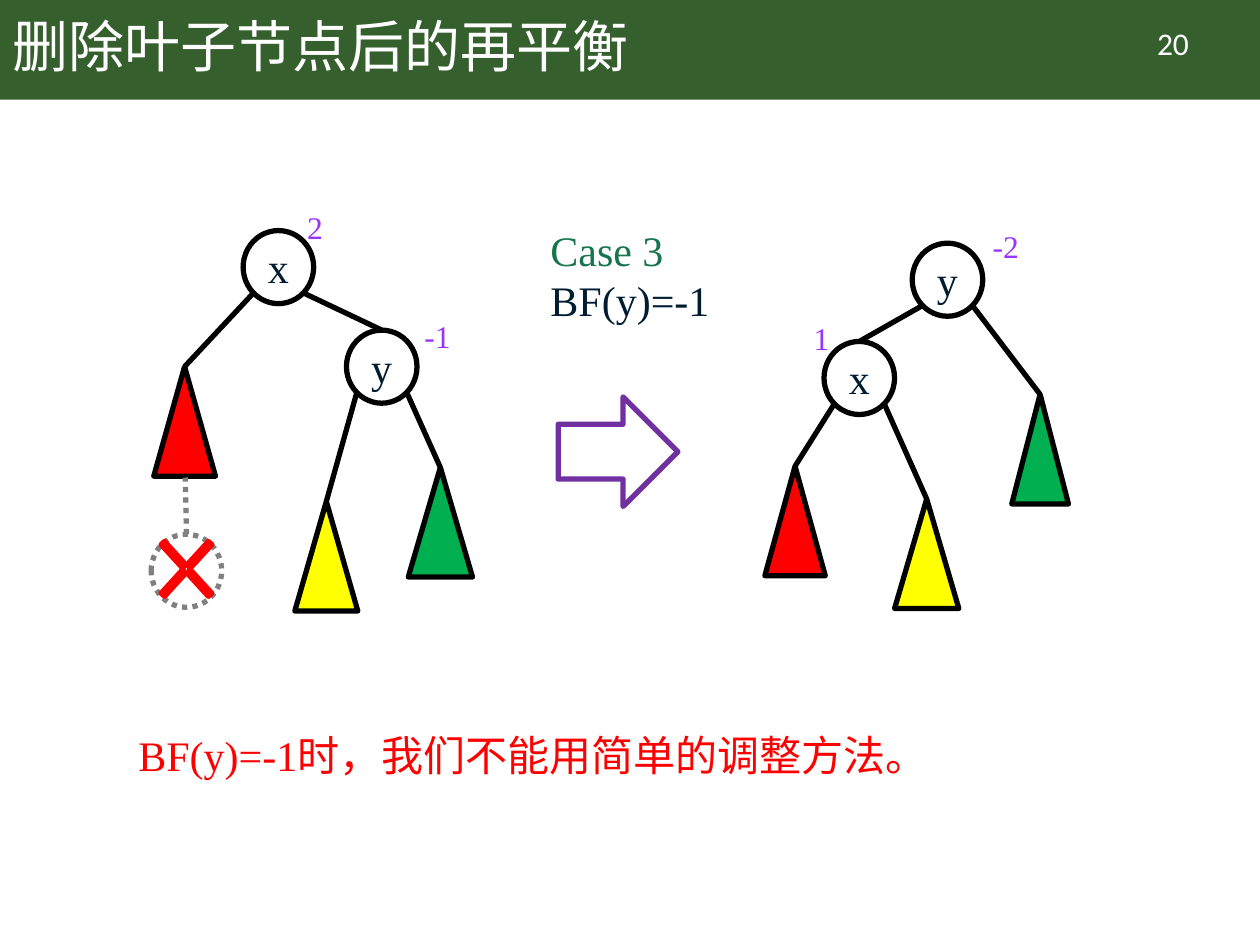
import math
import pptx
import pptx.util
import pptx.dml.color
import pptx.enum.dml
import pptx.enum.shapes
import pptx.enum.text
import pptx.oxml
from pptx.util import Inches

SHAPE = pptx.enum.shapes.MSO_SHAPE
ALIGN = pptx.enum.text.PP_ALIGN
ANCHOR = pptx.enum.text.MSO_ANCHOR
DOTTED = pptx.enum.dml.MSO_LINE.ROUND_DOT

COLORS = {
    "band": "365F2E", "white": "FFFFFF", "black": "000000", "ink": "001C30",
    "red": "FF0000", "yellow": "FFFF00", "green": "00B050", "gray": "808080",
    "balance": "9933FF", "case": "16754D", "arrow": "7030A0",
}
SERIF, SANS = "Times New Roman", "Calibri"
NODE_W, NODE_H, SUBTREE_H = 0.56, 0.58, 0.87

# Content: nodes (left, top), subtrees (left, top, width, color),
# balance factors (text, left, top), edges (parent, side, child)
TITLE = "删除叶子节点后的再平衡"
PAGE = "20"
CASE = [("Case 3", "case"), ("BF(y)=-1", "ink")]
REMARK = [("BF(y)=-1时，我们不能用简单的调整方法。", "red")]
EDGES_BEFORE = [("x", -1, "red"), ("x", 1, "y"), ("y", -1, "yellow"), ("y", 1, "green")]
EDGES_AFTER = [("y", -1, "x"), ("y", 1, "green"), ("x", -1, "red"), ("x", 1, "yellow")]
TREES = [
    {
        "nodes": {"x": (1.93, 1.83), "y": (2.75, 2.62)},
        "subtrees": [(1.22, 2.91, 0.49, "red"), (2.34, 3.98, 0.5, "yellow"),
                     (3.24, 3.71, 0.51, "green")],
        "factors": [("-1", 3.27, 2.47), ("2", 2.34, 1.6)],
        "edges": EDGES_BEFORE,
    },
    {
        "nodes": {"x": (6.54, 2.71), "y": (7.24, 1.93)},
        "subtrees": [(6.07, 3.7, 0.48, "red"), (7.1, 3.96, 0.51, "yellow"),
                     (8.03, 3.13, 0.45, "green")],
        "factors": [("1", 6.36, 2.48), ("-2", 7.78, 1.75)],
        "edges": EDGES_AFTER,
    },
]


def rgb(name):
    return pptx.dml.color.RGBColor.from_string(COLORS[name])


def add_run(p, text, size, color, font=SERIF):
    r = p.add_run()
    r.text = text
    r.font.size = pptx.util.Pt(size)
    r.font.name = font
    r.font.color.rgb = rgb(color)


def style_line(line, color, dash=None):
    line.color.rgb = rgb(color)
    line.width = pptx.util.Pt(3)
    if dash:
        line.dash_style = dash


def add_shape(s, kind, box, fill=None, line="black", dash=None):
    sp = s.shapes.add_shape(kind, *map(Inches, box))
    sp.shadow.inherit = False
    if fill:
        sp.fill.solid()
        sp.fill.fore_color.rgb = rgb(fill)
    else:
        sp.fill.background()
    if line:
        style_line(sp.line, line, dash)
    else:
        sp.line.fill.background()
    return sp


def add_text(s, box, lines, size, font=SERIF, align=ALIGN.LEFT):
    tf = s.shapes.add_textbox(*map(Inches, box)).text_frame
    tf.word_wrap = True
    for i, (text, color) in enumerate(lines):
        p = tf.add_paragraph() if i else tf.paragraphs[0]
        p.alignment = align
        add_run(p, text, size, color, font)


def add_edge(s, start, end, color="black", dash=None):
    c = s.shapes.add_connector(pptx.enum.shapes.MSO_CONNECTOR.STRAIGHT,
                               *map(Inches, start + end))
    style_line(c.line, color, dash)
    c._element.spPr.append(pptx.oxml.parse_xml(
        '<a:effectLst xmlns:a="http://schemas.openxmlformats.org/drawingml/2006/main"/>'))
    return c


def add_node(s, name, left, top):
    sp = add_shape(s, SHAPE.OVAL, (left, top, NODE_W, NODE_H))
    tf = sp.text_frame
    tf.margin_left = tf.margin_right = tf.margin_top = tf.margin_bottom = 0
    tf.vertical_anchor = ANCHOR.MIDDLE
    tf.paragraphs[0].alignment = ALIGN.CENTER
    add_run(tf.paragraphs[0], name, 24, "ink")


def add_tree(s, tree):
    tops = {}
    for name, (left, top) in tree["nodes"].items():
        add_node(s, name, left, top)
        tops[name] = (left + NODE_W / 2, top)
    for left, top, width, color in tree["subtrees"]:
        add_shape(s, SHAPE.ISOSCELES_TRIANGLE, (left, top, width, SUBTREE_H), color)
        tops[color] = (left + width / 2, top)
    for text, left, top in tree["factors"]:
        add_text(s, (left, top, 0.44, 0.4), [(text, "balance")], 18)
    # Edges leave a node at its lower diagonal and end on top of the child
    diagonal = math.sqrt(0.5)
    for parent, side, child in tree["edges"]:
        x, y = tops[parent]
        start = (x + side * diagonal * NODE_W / 2, y + (1 + diagonal) * NODE_H / 2)
        add_edge(s, start, tops[child])


def main():
    prs = pptx.Presentation()
    prs.slide_width, prs.slide_height = Inches(10), Inches(7.5)
    s = prs.slides.add_slide(prs.slide_layouts[5])

    # Header band behind the title, page number
    band = add_shape(s, SHAPE.RECTANGLE, (0, 0, 10, 0.79), "band", None)
    s.shapes._spTree.insert(2, band._element)
    title = s.shapes.title
    title.left, title.top, title.width, title.height = map(Inches, (0, 0, 8.62, 0.79))
    title.text_frame.vertical_anchor = ANCHOR.MIDDLE
    p = title.text_frame.paragraphs[0]
    p.alignment = ALIGN.LEFT
    p.line_spacing = 0.9
    add_run(p, TITLE, 32, "white", SANS)
    add_text(s, (8.71, 0.14, 1.2, 0.4), [(PAGE, "white")], 18, SANS, ALIGN.CENTER)

    # Trees before and after
    for tree in TREES:
        add_tree(s, tree)

    # Deleted leaf
    add_shape(s, SHAPE.OVAL, (1.2, 4.24, NODE_W, NODE_H), None, "gray", DOTTED)
    add_edge(s, (1.48, 4.24), (1.47, 3.79), "gray", DOTTED)
    cross = add_shape(s, SHAPE.MATH_MULTIPLY, (1.12, 4.12, 0.72, 0.79), "white", "red")
    cross.adjustments[0] = 0.051

    # Case label, arrow and remark
    add_text(s, (4.27, 1.73, 1.58, 0.91), CASE, 24)
    add_shape(s, SHAPE.RIGHT_ARROW, (4.43, 3.15, 0.95, 0.87), None, "arrow")
    add_text(s, (1, 5.74, 7.91, 0.5), REMARK, 24)

    prs.save("out.pptx")


if __name__ == "__main__":
    main()
